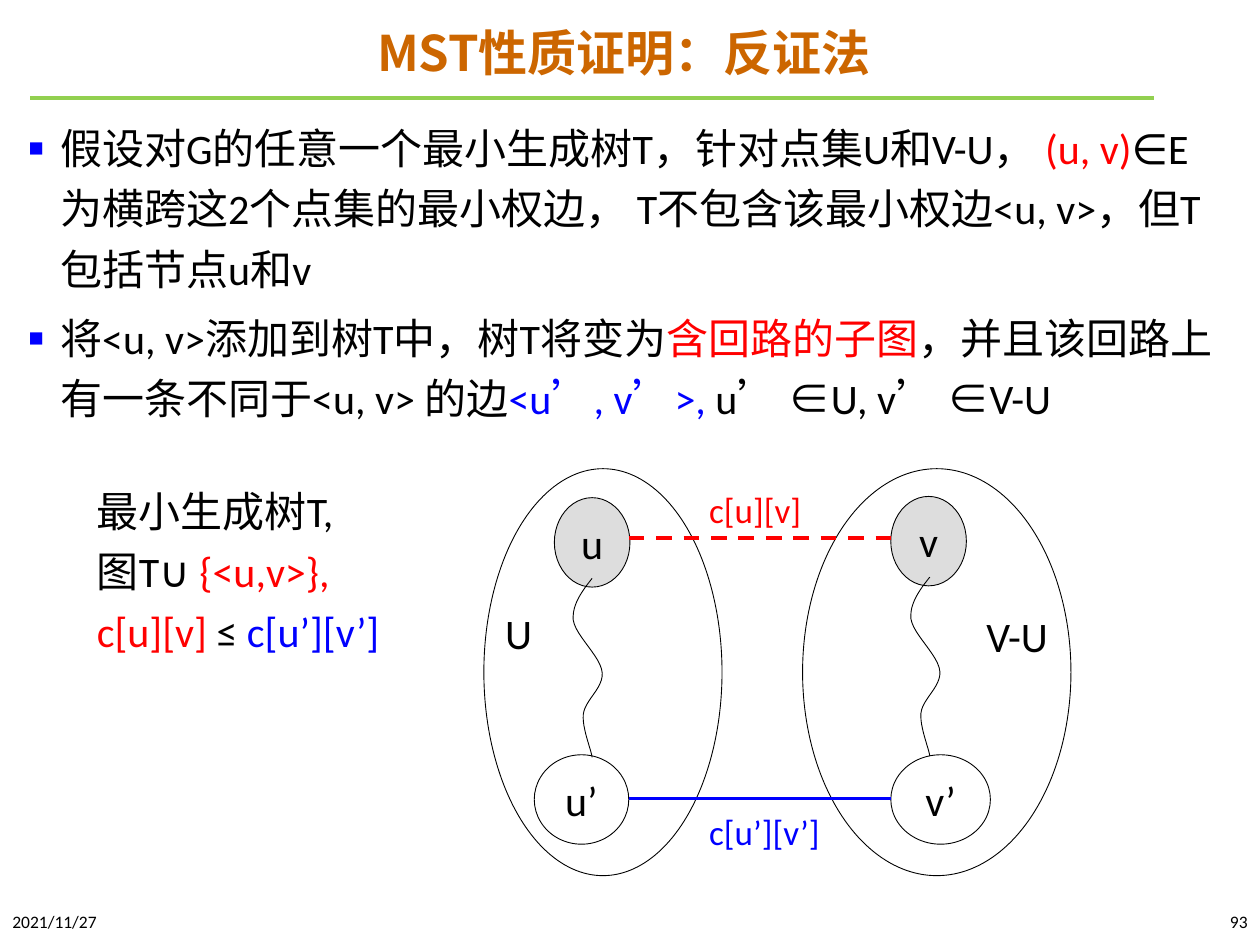
from lxml import etree
from pptx import Presentation
from pptx import util as u
from pptx.dml.color import RGBColor
from pptx.enum import dml, shapes, text
from pptx.oxml.ns import qn

COLORS = {
    "title": "CC6600", "rule": "92D050", "black": "000000",
    "red": "FF0000", "blue": "0000FF", "gray": "DDDDDD",
}
CENTER, RIGHT = text.PP_ALIGN.CENTER, text.PP_ALIGN.RIGHT
MIDDLE, TOP = text.MSO_ANCHOR.MIDDLE, text.MSO_ANCHOR.TOP
WAVE_START = (4.7, 4.59)
WAVE = [
    [(4.62, 4.69), (4.54, 4.8), (4.55, 4.92)],
    [(4.57, 5.05), (4.77, 5.21), (4.78, 5.34)],
    [(4.79, 5.46), (4.64, 5.56), (4.63, 5.67)],
    [(4.62, 5.78), (4.69, 5.94), (4.7, 6.01)],
]
CURVE_STEPS = 12


def rgb(name):
    return RGBColor.from_string(COLORS[name])


def bezier_points(start, segments, steps):
    points = [start]
    for first, second, end in segments:
        for step in range(1, steps + 1):
            t = step / steps
            weights = ((1 - t) ** 3, 3 * t * (1 - t) ** 2, 3 * t * t * (1 - t), t ** 3)
            controls = (start, first, second, end)
            points.append(tuple(sum(w * c[axis] for w, c in zip(weights, controls))
                                for axis in (0, 1)))
        start = end
    return points


class SlideBuilder:
    font = "Calibri"
    size = 24

    def __init__(self, slide):
        self.slide = slide

    def add_bullet(self, paragraph):
        properties = paragraph._p.get_or_add_pPr()
        properties.set("marL", str(u.Inches(0.25)))
        properties.set("indent", str(u.Inches(-0.25)))
        color = etree.SubElement(properties, qn("a:buClr"))
        etree.SubElement(color, qn("a:srgbClr"), val=COLORS["blue"])
        etree.SubElement(properties, qn("a:buSzPct"), val="60000")
        etree.SubElement(properties, qn("a:buFont"), typeface="Arial")
        etree.SubElement(properties, qn("a:buChar"), char="■")

    def fill_text(self, frame, paragraphs, size=None, font=None, bold=False, align=None,
                  anchor=TOP, spacing=None, before=0, bullet=False, wrap=True):
        frame.word_wrap = wrap
        frame.vertical_anchor = anchor
        for index, runs in enumerate(paragraphs):
            paragraph = frame.paragraphs[0] if index == 0 else frame.add_paragraph()
            if bullet:
                self.add_bullet(paragraph)
            if align is not None:
                paragraph.alignment = align
            if spacing:
                paragraph.line_spacing = spacing
            if index and before:
                paragraph.space_before = u.Pt(before)
            paragraph.font.name = font or self.font
            paragraph.font.size = u.Pt(size or self.size)
            paragraph.font.bold = bold
            for words, color in runs:
                run = paragraph.add_run()
                run.text = words
                run.font.color.rgb = rgb(color)

    def textbox(self, box, paragraphs, **style):
        shape = self.slide.shapes.add_textbox(*map(u.Inches, box))
        self.fill_text(shape.text_frame, paragraphs, **style)

    def outline(self, shape, fill=None):
        shape.shadow.inherit = False
        if fill:
            shape.fill.solid()
            shape.fill.fore_color.rgb = rgb(fill)
        else:
            shape.fill.background()
        shape.line.color.rgb = rgb("black")
        shape.line.width = u.Pt(0.5)

    def ellipse(self, box, label=None, fill=None):
        shape = self.slide.shapes.add_shape(shapes.MSO_SHAPE.OVAL, *map(u.Inches, box))
        self.outline(shape, fill)
        if label:
            self.fill_text(shape.text_frame, [[(label, "black")]], align=CENTER, anchor=MIDDLE)

    def wave(self, dx=0, dy=0):
        points = [(u.Inches(x + dx), u.Inches(y + dy))
                  for x, y in bezier_points(WAVE_START, WAVE, CURVE_STEPS)]
        builder = self.slide.shapes.build_freeform(*points[0])
        builder.add_line_segments(points[1:], close=False)
        self.outline(builder.convert_to_shape())

    def horizontal_line(self, left, right, y, color, width, dashed=False):
        line = self.slide.shapes.add_connector(
            shapes.MSO_CONNECTOR.STRAIGHT, *map(u.Inches, (left, y, right, y)))
        line.line.color.rgb = rgb(color)
        line.line.width = u.Pt(width)
        if dashed:
            line.line.dash_style = dml.MSO_LINE.DASH
        etree.SubElement(line._element.spPr, qn("a:effectLst"))


def main():
    presentation = Presentation()
    presentation.slide_width = u.Inches(10)
    presentation.slide_height = u.Inches(7.5)
    builder = SlideBuilder(presentation.slides.add_slide(presentation.slide_layouts[6]))

    builder.horizontal_line(0.24, 9.16, 0.78, "rule", 2.25)
    builder.textbox((0.64, 0.1, 8.62, 0.68), [[("MST性质证明：反证法", "title")]],
                    size=28, font="Noto Sans CJK SC", bold=True, align=CENTER,
                    anchor=MIDDLE, spacing=0.9)
    builder.textbox((0.13, 0.84, 9.73, 6.31), [
        [("假设对G的任意一个最小生成树T，针对点集U和V-U， ", "black"),
         ("(u, v)", "red"),
         ("∈E为横跨这2个点集的最小权边， T不包含该最小权边<u, v>，但T包括节点u和v", "black")],
        [("将<u, v>添加到树T中，树T将变为", "black"),
         ("含回路的子图", "red"),
         ("，并且该回路上有一条不同于<u, v> 的边", "black"),
         ("<u’, v’>, ", "blue"),
         ("u’ ∈U, v’ ∈V-U", "black")],
    ], spacing=1.2, before=5, bullet=True)
    builder.textbox((0, 7.14, 2.25, 0.34), [[("2021/11/27", "black")]],
                    size=10, anchor=MIDDLE)
    builder.textbox((7.75, 7.14, 2.25, 0.34), [[("93", "black")]],
                    size=10, align=RIGHT, anchor=MIDDLE)

    for box, label, fill in [
        ((4.24, 5.99, 0.75, 0.71), "u’", None),
        ((4.4, 3.95, 0.6, 0.71), "u", "gray"),
        ((7.07, 5.99, 0.79, 0.71), "v’", None),
        ((7.07, 3.94, 0.6, 0.71), "v", "gray"),
        ((3.84, 3.72, 1.89, 3.23), None, None),
        ((6.37, 3.72, 2.13, 3.23), None, None),
    ]:
        builder.ellipse(box, label, fill)
    builder.wave()
    builder.wave(2.68, -0.01)
    builder.horizontal_line(4.99, 7.07, 4.27, "red", 2.25, dashed=True)
    builder.horizontal_line(4.99, 7.07, 6.34, "blue", 1.5)

    for box, label, color, size in [
        ((3.91, 4.77, 0.41, 0.5), "U", "black", 24),
        ((7.73, 4.8, 0.71, 0.5), "V-U", "black", 24),
        ((5.53, 3.83, 0.94, 0.44), "c[u][v]", "red", 20),
        ((5.53, 6.38, 1.09, 0.44), "c[u’][v’]", "blue", 20),
    ]:
        builder.textbox(box, [[(label, color)]], size=size, wrap=False)
    builder.textbox((0.67, 3.72, 2.47, 1.52), [
        [("最小生成树T,", "black")],
        [("图T∪ ", "black"), ("{<u,v>},", "red")],
        [("c[u][v] ", "red"), ("≤ ", "black"), ("c[u’][v’]", "blue")],
    ], spacing=1.2, wrap=False)

    presentation.save("out.pptx")


if __name__ == "__main__":
    main()
